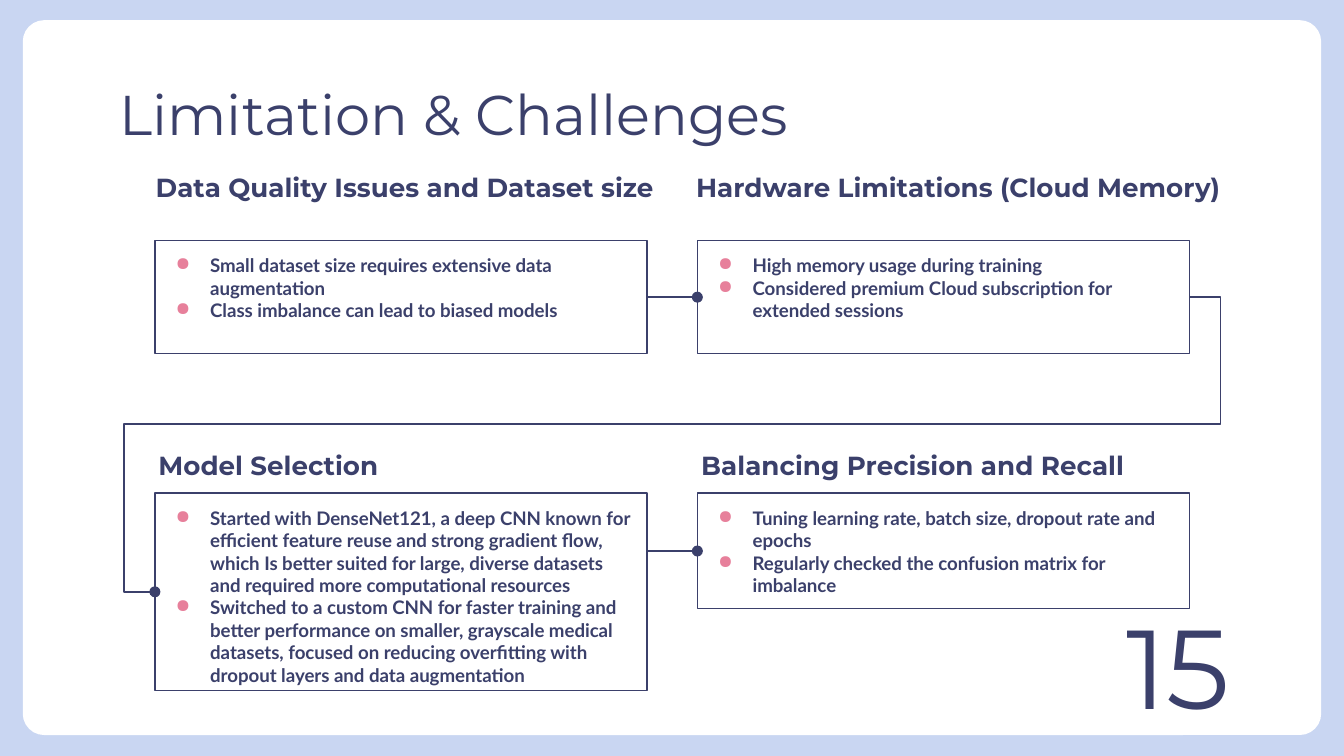
"""Build the limitations and challenges slide."""
from dataclasses import dataclass

from lxml import etree
from pptx import Presentation
from pptx.dml.color import RGBColor
from pptx.enum.shapes import MSO_CONNECTOR, MSO_SHAPE
from pptx.enum.text import MSO_ANCHOR
from pptx.oxml.ns import qn
from pptx.util import Pt

STRAIGHT, ELBOW = MSO_CONNECTOR.STRAIGHT, MSO_CONNECTOR.ELBOW
RECTANGLE, ROUNDED = MSO_SHAPE.RECTANGLE, MSO_SHAPE.ROUNDED_RECTANGLE
TOP, MIDDLE, BOTTOM = MSO_ANCHOR.TOP, MSO_ANCHOR.MIDDLE, MSO_ANCHOR.BOTTOM
LEFT_SIDE, RIGHT_SIDE = 1, 3


@dataclass(frozen=True)
class Theme:
    """Colours, fonts and sizes of the slide."""
    ink: str = "3B406B"
    accent: str = "E7809B"
    backdrop: str = "C9D6F2"
    panel: str = "FFFFFF"
    display: str = "Montserrat"
    body: str = "Lato"
    title_size: float = 30
    heading_size: float = 14
    body_size: float = 10
    number_size: float = 60
    line_width: float = 0.75
    inset: float = 7.2


THEME = Theme()
COLUMNS = (83, 373.6)
CARD_WIDTH = 263.6
HEADING_HEIGHT = 23
TOPICS = (
    ("Data Quality Issues and Dataset size", (76.3, 92.9, 289.4), 0, 129, 60.4,
     ("Small dataset size requires extensive data augmentation",
      "Class imbalance can lead to biased models")),
    ("Hardware Limitations (Cloud Memory)", (365.8, 92.9, 298), 1, 129, 60.4,
     ("High memory usage during training",
      "Considered premium Cloud subscription for extended sessions")),
    ("Model Selection", (77.8, 241.9, 263.5), 0, 264.2, 105.8,
     ("Started with DenseNet121, a deep CNN known for efficient feature reuse "
      "and strong gradient flow, which Is better suited for large, diverse "
      "datasets and required more computational resources",
      "Switched to a custom CNN for faster training and better performance on "
      "smaller, grayscale medical datasets, focused on reducing overfitting "
      "with dropout layers and data augmentation")),
    ("Balancing Precision and Recall", (368.6, 241.9, 263.5), 1, 264.2, 62,
     ("Tuning learning rate, batch size, dropout rate and epochs",
      "Regularly checked the confusion matrix for imbalance")),
)


def color(value):
    """Turn a hex string into a colour."""
    return RGBColor.from_string(value)


def set_frame(frame, anchor):
    """Set wrapping, anchor and equal insets."""
    frame.word_wrap = True
    frame.vertical_anchor = anchor
    frame.margin_left = frame.margin_right = Pt(THEME.inset)
    frame.margin_top = frame.margin_bottom = Pt(THEME.inset)


def format_runs(para, font, size, bold):
    """Style every run of a paragraph."""
    for span in para.runs:
        span.font.name = font
        span.font.size = Pt(size)
        span.font.bold = bold
        span.font.color.rgb = color(THEME.ink)


def add_label(page, text, area, size, anchor, bold=False):
    """Add a line of display text."""
    box = page.shapes.add_textbox(*map(Pt, area))
    set_frame(box.text_frame, anchor)
    box.text_frame.text = text
    format_runs(box.text_frame.paragraphs[0], THEME.display, size, bold)


def add_panel(page):
    """Add the rounded white panel."""
    panel = page.shapes.add_shape(ROUNDED, Pt(12.2), Pt(10.8), Pt(695.6), Pt(383))
    panel.adjustments[0] = 0.03
    panel.shadow.inherit = False
    panel.fill.solid()
    panel.fill.fore_color.rgb = color(THEME.panel)
    panel.line.fill.background()


def add_bullet(para):
    """Give a paragraph a coloured bullet and hanging indent."""
    props = para._p.get_or_add_pPr()
    props.set("marL", str(Pt(22.5)))
    props.set("indent", str(-Pt(18.5)))
    props.set("algn", "l")
    tint = etree.SubElement(props, qn("a:buClr"))
    etree.SubElement(tint, qn("a:srgbClr"), val=THEME.accent)
    etree.SubElement(props, qn("a:buChar"), char="●")


def add_card(page, column, top, height, items):
    """Add an outlined box with a bulleted list."""
    card = page.shapes.add_shape(
        RECTANGLE, Pt(COLUMNS[column]), Pt(top), Pt(CARD_WIDTH), Pt(height))
    card.shadow.inherit = False
    card.fill.background()
    card.line.color.rgb = color(THEME.ink)
    card.line.width = Pt(THEME.line_width)
    set_frame(card.text_frame, TOP)
    card.text_frame.text = "\n".join(items)
    for para in card.text_frame.paragraphs:
        add_bullet(para)
        format_runs(para, THEME.body, THEME.body_size, True)
    return card


def add_link(page, source, target, kind=STRAIGHT, attach_source=True):
    """Link two cards with a line that ends in a dot."""
    height = target.top + target.height // 2
    link = page.shapes.add_connector(
        kind, source.left + source.width, height, target.left, height)
    if attach_source:
        link.begin_connect(source, RIGHT_SIDE)
    link.end_connect(target, LEFT_SIDE)
    link.line.color.rgb = color(THEME.ink)
    link.line.width = Pt(THEME.line_width)
    props = link._element.spPr
    etree.SubElement(props.find(qn("a:ln")), qn("a:tailEnd"), type="oval")
    etree.SubElement(props, qn("a:effectLst"))
    return link


def route_around(link, *bends):
    """Make an elbow link turn at the given shares of its extent."""
    geometry = link._element.spPr.find(qn("a:prstGeom"))
    geometry.set("prst", "bentConnector5")
    guides = geometry.find(qn("a:avLst"))
    for index, bend in enumerate(bends, 1):
        etree.SubElement(guides, qn("a:gd"), name=f"adj{index}",
                         fmla=f"val {round(bend * 100000)}")


def main():
    """Build and save the deck."""
    deck = Presentation()
    deck.slide_width, deck.slide_height = Pt(720), Pt(405)
    page = deck.slides.add_slide(deck.slide_layouts[6])
    page.background.fill.solid()
    page.background.fill.fore_color.rgb = color(THEME.backdrop)
    add_panel(page)
    add_label(page, "Limitation & Challenges", (57, 35.3, 607, 45.4),
              THEME.title_size, TOP)
    cards = []
    for heading, area, column, top, height, items in TOPICS:
        add_label(page, heading, (*area, HEADING_HEIGHT),
                  THEME.heading_size, BOTTOM, bold=True)
        cards.append(add_card(page, column, top, height, items))
    data, hardware, model, balance = cards
    add_link(page, data, hardware)
    route_around(add_link(page, hardware, model, ELBOW), -0.03, 0.43, 1.03)
    add_link(page, model, balance, attach_source=False)
    add_label(page, "15", (596.2, 334, 91.4, 44.6), THEME.number_size, MIDDLE)
    deck.save("out.pptx")


if __name__ == "__main__":
    main()
